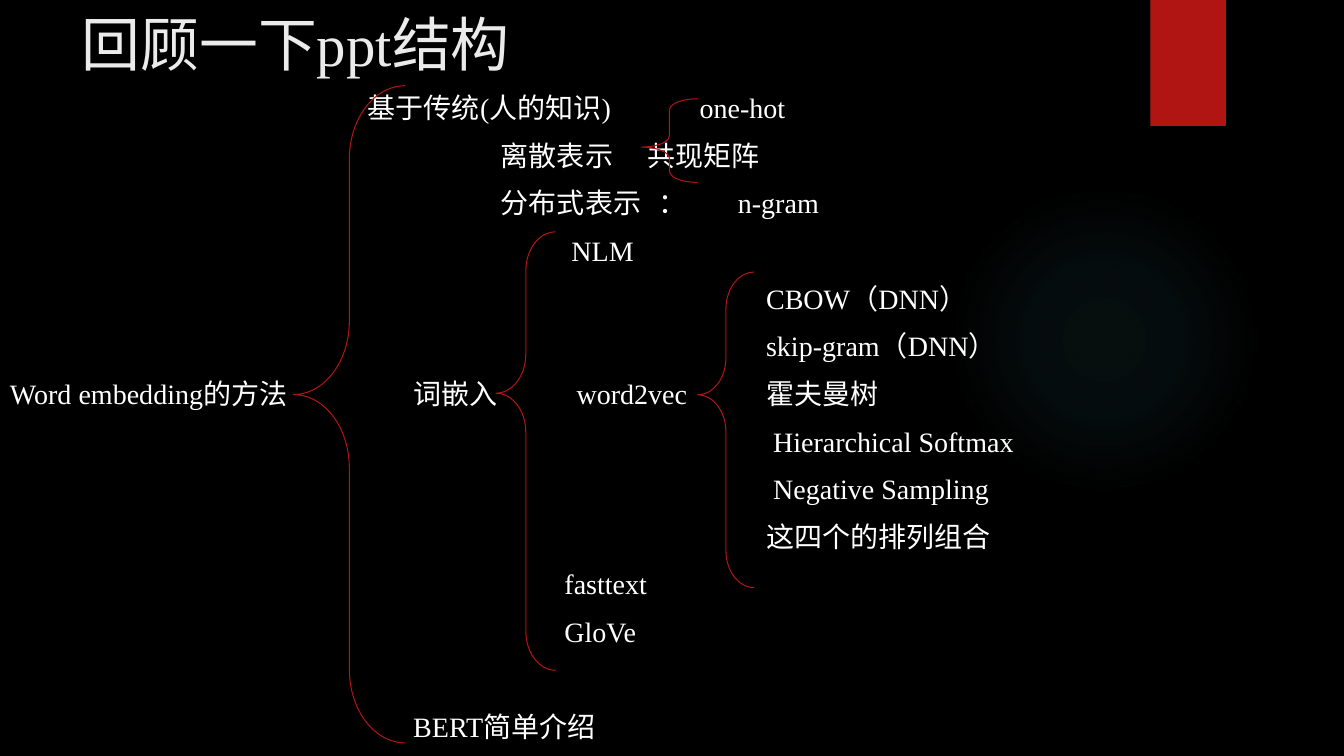
"""Build a slide that outlines word embedding methods as a braced tree."""
from lxml import etree
from pptx import Presentation
from pptx.dml.color import RGBColor
from pptx.enum import shapes, text
from pptx.oxml import ns
from pptx.util import Inches, Pt

BLACK = RGBColor(0x00, 0x00, 0x00)
WHITE = RGBColor(0xFF, 0xFF, 0xFF)
PALE = RGBColor(0xEB, 0xEB, 0xEB)
RED = RGBColor(0xB0, 0x15, 0x13)
TEAL = RGBColor(0x50, 0xB9, 0xC1)
FONT = "Times New Roman"
INSET = 0.1
LINE, GAP = 24, 10

ROOT, BRANCH, DETAIL, LEAF, WORD2VEC = 0.1, 4.1, 4.97, 5.6, 7.6
ROWS = [
    [(3.65, "基于传统(人的知识)"), (6.94, "one-hot")],
    [(DETAIL, "离散表示"), (6.42, "共现矩阵")],
    [(DETAIL, "分布式表示"), (6.53, "："), (7.32, "n-gram")],
    [(5.67, "NLM")],
    [(WORD2VEC, "CBOW（DNN）")],
    [(WORD2VEC, "skip-gram（DNN）")],
    [(ROOT, "Word embedding的方法"), (BRANCH, "词嵌入"), (5.72, "word2vec"), (WORD2VEC, "霍夫曼树")],
    [(7.67, "Hierarchical Softmax")],
    [(7.67, "Negative Sampling")],
    [(WORD2VEC, "这四个的排列组合")],
    [(LEAF, "fasttext")],
    [(LEAF, "GloVe")],
    [],
    [(BRANCH, "BERT简单介绍")],
]
BRACES = [
    ((2.91, 0.85, 1.11, 6.52), 0.656, 0.47),
    ((6.36, 0.98, 0.56, 0.83), 0.2, 0.578),
    ((4.92, 2.3, 0.59, 4.35), 0.656, 0.368),
    ((6.92, 2.7, 0.56, 3.13), 0.656, 0.389),
]


def inches(box):
    """Convert a box in inches to lengths."""
    return [Inches(v) for v in box]


def style(p, size, color):
    """Format every run of a paragraph."""
    for r in p.runs:
        r.font.name, r.font.size = FONT, Pt(size)
        r.font.color.rgb = color


def add_plain(slide, kind, box):
    """Add a preset shape without shadow or outline."""
    sp = slide.shapes.add_shape(kind, *inches(box))
    sp.shadow.inherit = False
    sp.line.fill.background()
    return sp


def add_glow(slide, box):
    """Add a faint round glow that fades out to its rim."""
    sp = add_plain(slide, shapes.MSO_SHAPE.OVAL, box)
    sp.fill.gradient()
    grad = sp.fill._xPr.find(ns.qn("a:gradFill"))
    for child in list(grad):
        grad.remove(child)
    stops = etree.SubElement(grad, ns.qn("a:gsLst"))
    for pos, alpha in ((0, 7), (36, 6), (69, 0)):
        gs = etree.SubElement(stops, ns.qn("a:gs"), pos=str(pos * 1000))
        clr = etree.SubElement(gs, ns.qn("a:srgbClr"), val=str(TEAL))
        etree.SubElement(clr, ns.qn("a:alpha"), val=str(alpha * 1000))
    shade = etree.SubElement(grad, ns.qn("a:path"), path="circle")
    etree.SubElement(shade, ns.qn("a:fillToRect"), l="50000", t="50000", r="50000", b="50000")


def add_ribbon(slide, box):
    """Add the red block that hangs from the top edge."""
    sp = add_plain(slide, shapes.MSO_SHAPE.RECTANGLE, box)
    sp.fill.solid()
    sp.fill.fore_color.rgb = RED


def set_title(slide, box, words):
    """Place and format the title placeholder."""
    sp = slide.shapes.title
    sp.left, sp.top, sp.width, sp.height = inches(box)
    tf = sp.text_frame
    tf.text = words
    tf.vertical_anchor = text.MSO_ANCHOR.MIDDLE
    p = tf.paragraphs[0]
    p.alignment = text.PP_ALIGN.LEFT
    style(p, 42, PALE)


def set_row(p, row, skipped):
    """Write one row of labels, each at its own tab stop."""
    p.line_spacing = Pt(LINE)
    p.space_before = Pt(GAP + skipped * (LINE + GAP))
    p.text = "".join(label if x == ROOT else "\t" + label for x, label in row)
    style(p, 20, WHITE)
    tabs = etree.SubElement(p._p.get_or_add_pPr(), ns.qn("a:tabLst"))
    for x, _ in row:
        if x > ROOT:
            etree.SubElement(tabs, ns.qn("a:tab"), pos=str(Inches(x - INSET)), algn="l")


def add_outline(slide, box, rows):
    """Add the labels of the tree, an empty row being left open."""
    tf = slide.shapes.add_textbox(*inches(box)).text_frame
    tf.word_wrap = True
    tf.margin_left = tf.margin_right = Inches(INSET)
    skipped = 0
    for i, row in enumerate(rows):
        if not row:
            skipped += 1
            continue
        set_row(tf.add_paragraph() if i else tf.paragraphs[0], row, skipped)
        skipped = 0


def add_brace(slide, box, curve, tip):
    """Add a thin red brace that opens to the right."""
    sp = add_plain(slide, shapes.MSO_SHAPE.LEFT_BRACE, box)
    sp.fill.background()
    sp.line.color.rgb = RED
    sp.line.width = Pt(0.75)
    sp.adjustments[0], sp.adjustments[1] = curve, tip


def main():
    """Build and save the slide."""
    prs = Presentation()
    prs.slide_width, prs.slide_height = inches((13.33, 7.5))
    slide = prs.slides.add_slide(prs.slide_layouts[5])
    slide.background.fill.solid()
    slide.background.fill.fore_color.rgb = BLACK
    add_glow(slide, (9.41, 1.83, 3.08, 3.08))
    add_ribbon(slide, (11.41, 0, 0.75, 1.25))
    set_title(slide, (0.71, 0, 10.17, 0.85), "回顾一下ppt结构")
    add_outline(slide, (0, 0.85, 13.33, 6.65), ROWS)
    for box, curve, tip in BRACES:
        add_brace(slide, box, curve, tip)
    prs.save("out.pptx")


if __name__ == "__main__":
    main()
